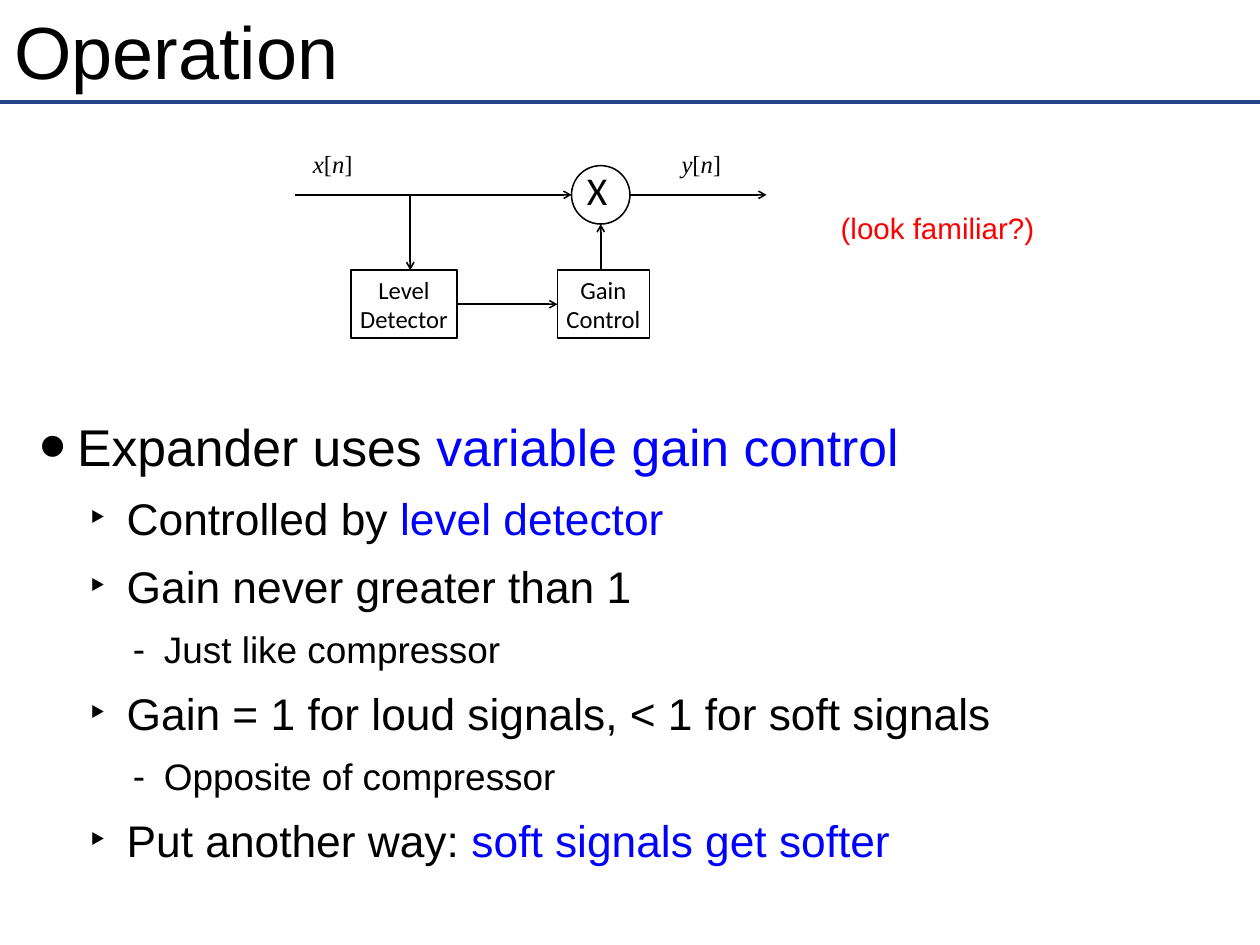
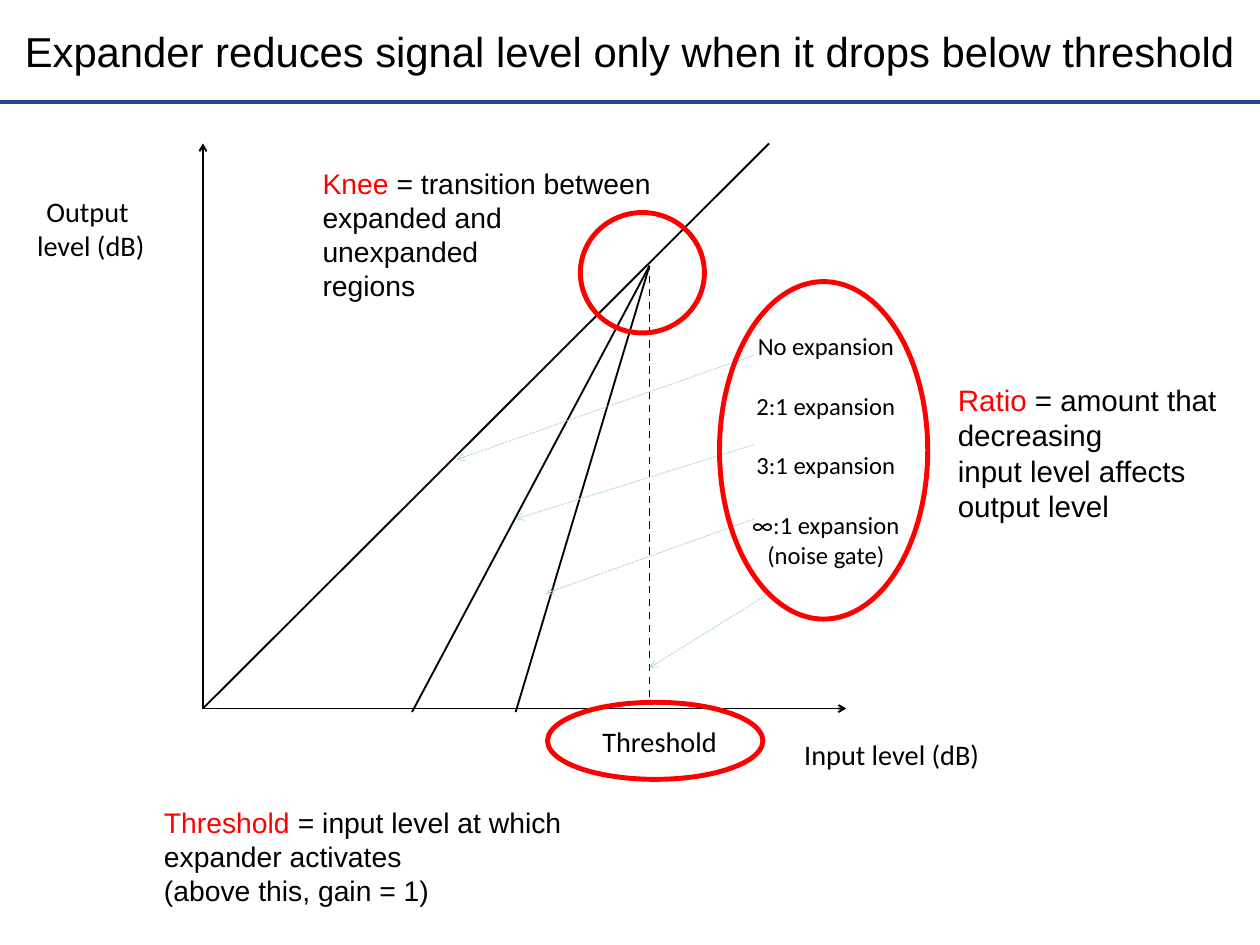
"""Build two slides on how an audio expander works."""
from lxml.etree import SubElement
from pptx import Presentation
from pptx.dml.color import RGBColor
from pptx.enum.dml import MSO_LINE
from pptx.enum.shapes import MSO_CONNECTOR, MSO_SHAPE
from pptx.enum.text import MSO_ANCHOR, MSO_AUTO_SIZE, PP_ALIGN
from pptx.oxml.ns import qn
from pptx.util import Inches, Pt

BLACK = RGBColor(0x00, 0x00, 0x00)
RED = RGBColor(0xFF, 0x00, 0x00)
BLUE = RGBColor(0x00, 0x00, 0xFF)
NAVY = RGBColor(0x25, 0x47, 0x89)
PALE = RGBColor(0xB6, 0xDC, 0xDF)
WIDTH, HEIGHT = 14.22, 10.67
TITLE_ONLY, TITLE_AND_BODY = 5, 1
LEVELS = [
    {"char": "•", "margin": 0.69, "hang": 0.42, "size": 42, "scale": 150},
    {"char": "‣", "margin": 1.25, "hang": 0.42, "size": 36, "scale": 100},
    {"char": "-", "margin": 1.67, "hang": 0.35, "size": 30, "scale": 100},
]


def add_run(p, text, size=20, font="Calibri", color=BLACK, italic=False):
    r = p.add_run()
    r.text = text
    r.font.size = Pt(size)
    r.font.name = font
    r.font.color.rgb = color
    r.font.italic = italic


def write(tf, lines, align=PP_ALIGN.CENTER, gaps=None, **fmt):
    for i, line in enumerate(lines):
        p = tf.paragraphs[0] if i == 0 else tf.add_paragraph()
        p.alignment = align
        if gaps and gaps[i]:
            p.space_before = Pt(gaps[i])
        for part in [(line, {})] if isinstance(line, str) else line:
            add_run(p, part[0], **{**fmt, **part[1]})


def frame(s, inset, anchor=MSO_ANCHOR.TOP, wrap=False):
    tf = s.text_frame
    tf.word_wrap = wrap
    tf.auto_size = MSO_AUTO_SIZE.NONE
    tf.vertical_anchor = anchor
    tf.margin_left = tf.margin_right = Inches(inset[0])
    tf.margin_top = tf.margin_bottom = Inches(inset[1])
    return tf


def place(s, box):
    s.left, s.top, s.width, s.height = map(Inches, box)


class Deck:
    """Hold the shared style and the current slide."""

    def __init__(self):
        self.prs = Presentation()
        self.prs.slide_width = Inches(WIDTH)
        self.prs.slide_height = Inches(HEIGHT)
        self.slide = None

    def new_slide(self, layout, title, box, size, align):
        self.slide = self.prs.slides.add_slide(self.prs.slide_layouts[layout])
        self.line((0, 1.15), (WIDTH, 1.15), color=NAVY, width=3)
        s = self.slide.shapes.title
        place(s, box)
        tf = frame(s, (0.06, 0.06), MSO_ANCHOR.MIDDLE, wrap=True)
        write(tf, [title], align, size=size, font="Arial")

    def line(self, start, end, color=BLACK, width=1.5, dash=None, arrow=False):
        s = self.slide.shapes.add_connector(
            MSO_CONNECTOR.STRAIGHT, *map(Inches, (*start, *end)))
        s.line.color.rgb = color
        s.line.width = Pt(width)
        if dash:
            s.line.dash_style = dash
        spPr = s.element.spPr
        if arrow:
            SubElement(spPr.find(qn("a:ln")), qn("a:tailEnd"), type="arrow")
        SubElement(spPr, qn("a:effectLst"))
        return s

    def outline(self, kind, box, color=BLACK, width=1.25):
        s = self.slide.shapes.add_shape(kind, *map(Inches, box))
        s.shadow.inherit = False
        s.fill.background()
        s.line.color.rgb = color
        s.line.width = Pt(width)
        return s

    def block(self, box, lines):
        s = self.outline(MSO_SHAPE.RECTANGLE, box)
        write(frame(s, (0.1, 0.05)), lines)
        return s

    def label(self, box, lines, inset=(0.14, 0.07), **fmt):
        s = self.slide.shapes.add_textbox(*map(Inches, box))
        write(frame(s, inset), lines, **fmt)

    def note(self, box, lines, size):
        s = self.slide.shapes.add_textbox(*map(Inches, box))
        tf = frame(s, (0, 0), MSO_ANCHOR.MIDDLE, wrap=True)
        write(tf, lines, PP_ALIGN.LEFT, size=size, font="Arial")

    def bullets(self, box, items):
        s = self.slide.placeholders[1]
        place(s, box)
        tf = frame(s, (0.06, 0.06), wrap=True)
        for i, (level, plain, strong) in enumerate(items):
            style = LEVELS[level]
            p = tf.paragraphs[0] if i == 0 else tf.add_paragraph()
            p.level = level
            pPr = p._p.get_or_add_pPr()
            pPr.set("marL", str(Inches(style["margin"])))
            pPr.set("indent", str(-Inches(style["hang"])))
            SubElement(pPr, qn("a:buSzPct"), val=str(style["scale"] * 1000))
            SubElement(pPr, qn("a:buFont"), typeface="Arial")
            SubElement(pPr, qn("a:buChar"), char=style["char"])
            p.space_before = Pt(6 if i else 0)
            p.space_after = Pt(6)
            add_run(p, plain, style["size"], "Arial")
            if strong:
                add_run(p, strong, style["size"], "Arial", BLUE)


def operation_slide(deck):
    deck.new_slide(TITLE_AND_BODY, "Operation", (0.1, 0.06, 14.01, 1.01), 60,
                   PP_ALIGN.LEFT)
    deck.bullets((0.12, 4.62, 14.01, 5.96), [
        (0, "Expander uses ", "variable gain control"),
        (1, "Controlled by ", "level detector"),
        (1, "Gain never greater than 1", ""),
        (2, "Just like compressor", ""),
        (1, "Gain = 1 for loud signals, < 1 for soft signals", ""),
        (2, "Opposite of compressor", ""),
        (1, "Put another way: ", "soft signals get softer"),
    ])
    deck.label((9.39, 2.33, 2.38, 0.49), ["(look familiar?)"], (0, 0.04),
               size=24, font="Arial", color=RED)

    signal_y, block_y, block_h = 2.2, 3.05, 0.77
    deck.outline(MSO_SHAPE.OVAL, (6.45, 1.87, 0.66, 0.66))
    deck.label((6.52, 1.83, 0.44, 0.64), ["X"], (0.1, 0.05), size=32)
    detector = deck.block((3.96, block_y, 1.2, block_h), ["Level", "Detector"])
    gain = deck.block((6.29, block_y, 1.04, block_h), ["Gain", "Control"])
    for start, end in [
        ((3.33, signal_y), (6.45, signal_y)),
        ((7.11, signal_y), (8.65, signal_y)),
        ((4.63, signal_y), (4.63, block_y)),
        ((6.78, block_y), (6.78, 2.53)),
    ]:
        deck.line(start, end, width=1.25, arrow=True)
    link = deck.line((5.16, 3.44), (6.29, 3.44), width=1.25, arrow=True)
    link.begin_connect(detector, 3)
    link.end_connect(gain, 1)
    slanted = {"italic": True}
    for name, x in [("x", 3.43), ("y", 7.59)]:
        deck.label((x, 1.63, 0.65, 0.44),
                   [[(name, slanted), ("[", {}), ("n", slanted), ("]", {})]],
                   (0.1, 0.05), font="Times New Roman")


def threshold_slide(deck):
    deck.new_slide(
        TITLE_ONLY,
        "Expander reduces signal level only when it drops below threshold",
        (0, 0.07, WIDTH, 1.01), 34, PP_ALIGN.CENTER)
    origin, knee = (2.29, 8), (7.33, 3)
    deck.line(origin, (9.55, 8), arrow=True)
    deck.line(origin, (2.29, 1.62), arrow=True)
    deck.line(origin, (8.68, 1.62))
    for foot_x in (4.65, 5.82):
        deck.line(knee, (foot_x, 8.04))
    deck.line((knee[0], 7.87), knee, dash=MSO_LINE.DASH)

    deck.label((8.34, 3.67, 1.96, 2.84),
               ["No expansion", "2:1 expansion", "3:1 expansion",
                "∞:1 expansion", "(noise gate)"],
               gaps=[0, 24.4, 24.4, 24.4, 0])
    for box, lines in [
        ((8.92, 8.26, 2.29, 0.53), ["Input level (dB)"]),
        ((0.27, 2.12, 1.51, 0.92), ["Output ", "level (dB)"]),
        ((6.65, 8.11, 1.59, 0.53), ["Threshold"]),
    ]:
        deck.label(box, lines, size=23)
    for start, end in [
        ((8.51, 4.01), (5.15, 5.19)),
        ((8.51, 5.02), (5.82, 5.86)),
        ((8.51, 5.86), (6.16, 6.7)),
        ((8.68, 6.7), (7.33, 7.54)),
    ]:
        deck.line(start, end, PALE, 0.75, MSO_LINE.SQUARE_DOT, arrow=True)

    for box, size, term, first, rest in [
        ((1.85, 8.67, 5.15, 2), 23, "Threshold ", "= input level at which",
         ["expander activates", "(above this, gain = 1)"]),
        ((3.64, 1.3, 4.14, 2.69), 23, "Knee ", "= transition between",
         ["expanded and", "unexpanded", "regions"]),
        ((10.81, 3.88, 3.41, 2.46), 24, "Ratio ", "= amount that decreasing",
         ["input level affects output level"]),
    ]:
        deck.note(box, [[(term, {"color": RED}), (first, {})], *rest], size)
    for ring in [(6.18, 7.93, 2.43, 0.87), (8.12, 3.18, 2.35, 3.81),
                 (6.55, 2.4, 1.4, 1.36)]:
        deck.outline(MSO_SHAPE.OVAL, ring, RED, 4)


def main():
    deck = Deck()
    operation_slide(deck)
    threshold_slide(deck)
    deck.prs.save("out.pptx")


if __name__ == "__main__":
    main()
